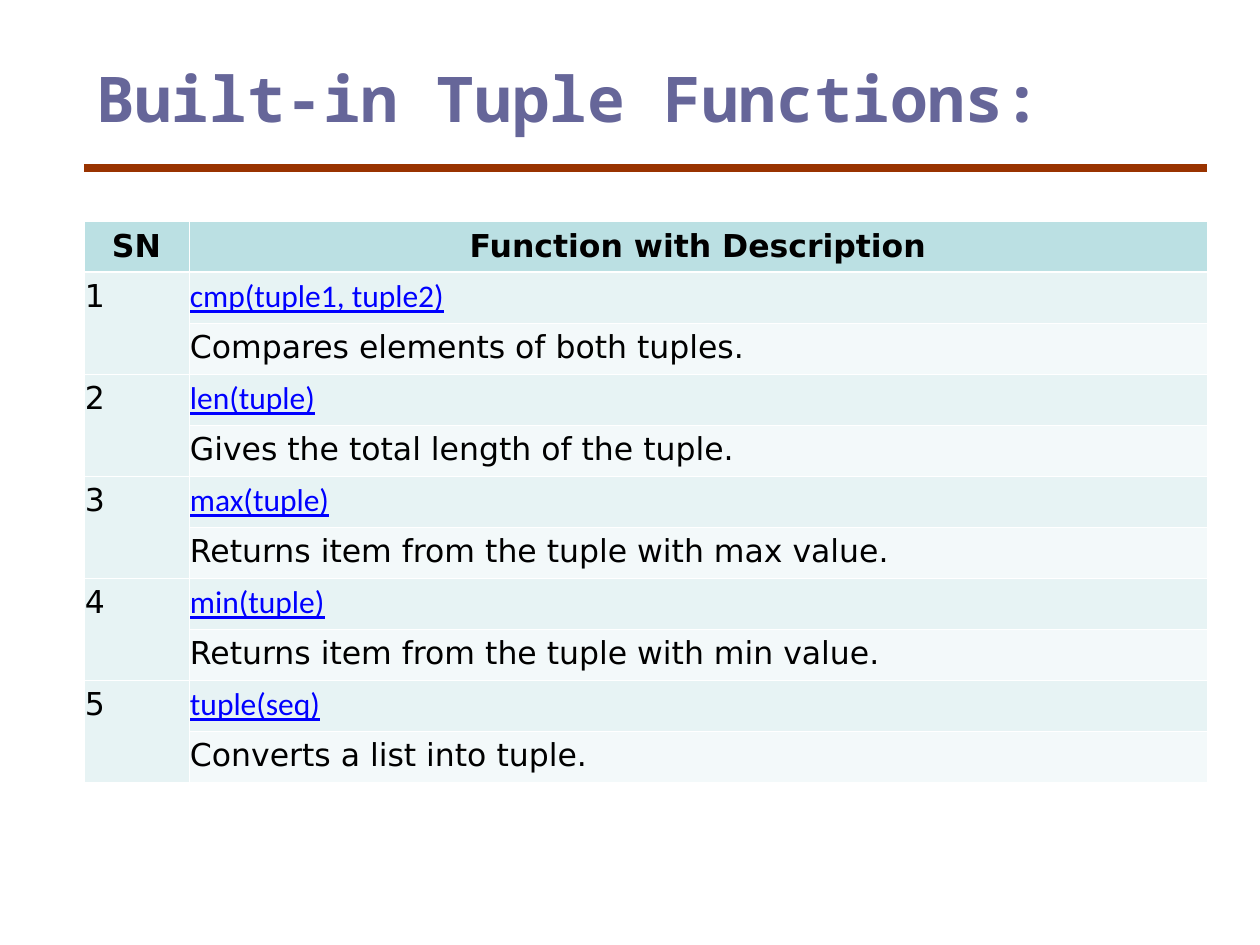
from lxml.etree import SubElement
from pptx import Presentation
from pptx.dml.color import RGBColor
from pptx.enum.shapes import MSO_CONNECTOR
from pptx.enum.text import MSO_ANCHOR as Anchor, PP_ALIGN as Align
from pptx.oxml.ns import qn
from pptx.util import Emu, Pt

PX = 914400 / 126
COLORS = {
    "title": "666699", "rule": "993300", "text": "000000", "link": "0000FF",
    "border": "FFFFFF", "header": "BBE0E3", "name_row": "E7F3F4",
    "description_row": "F3F9FA",
}
FUNCTIONS = [
    ("cmp(tuple1, tuple2)", "Compares elements of both tuples."),
    ("len(tuple)", "Gives the total length of the tuple."),
    ("max(tuple)", "Returns item from the tuple with max value."),
    ("min(tuple)", "Returns item from the tuple with min value."),
    ("tuple(seq)", "Converts a list into tuple."),
]
LEFT, WIDTH = 84, 1123
NUMBER_WIDTH, ROW_HEIGHT = 105, 51


def px(length):
    return Emu(round(length * PX))


def color(name):
    return RGBColor.from_string(COLORS[name])


def write_text(frame, text, font="DejaVu Sans", size=18, fill="text",
               bold=False, underline=False, align=Align.LEFT):
    paragraph = frame.paragraphs[0]
    paragraph.alignment = align
    run = paragraph.add_run()
    run.text = text
    run.font.name = font
    run.font.size = Pt(size)
    run.font.bold = bold
    run.font.underline = underline
    run.font.color.rgb = color(fill)


def add_title(slide, text):
    box = slide.shapes.add_textbox(px(LEFT), px(53), px(WIDTH), px(157))
    box.text_frame.word_wrap = True
    box.text_frame.vertical_anchor = Anchor.TOP
    write_text(box.text_frame, text, font="Noto Sans Mono", size=36,
               fill="title", bold=True)


def add_rule(slide, top):
    rule = slide.shapes.add_connector(
        MSO_CONNECTOR.STRAIGHT, px(LEFT), px(top), px(LEFT + WIDTH), px(top))
    rule.line.color.rgb = color("rule")
    rule.line.width = Pt(4.5)
    SubElement(rule._element.spPr, qn("a:effectLst"))


def add_borders(cell, **widths):
    """Draw the four sides; a side given by its letter gets its own width."""
    properties = cell._tc.get_or_add_tcPr()
    for side in "LRTB":
        width = Pt(widths.get(side, 0.45))
        line = SubElement(properties, qn(f"a:ln{side}"), w=str(width))
        fill = SubElement(line, qn("a:solidFill"))
        SubElement(fill, qn("a:srgbClr"), val=COLORS["border"])


def fill_cell(cell, text, background, anchor=Anchor.TOP, borders=None, **style):
    cell.margin_left = cell.margin_right = px(1)
    cell.margin_top = cell.margin_bottom = px(6)
    cell.vertical_anchor = anchor
    add_borders(cell, **(borders or {}))
    cell.fill.solid()
    cell.fill.fore_color.rgb = color(background)
    write_text(cell.text_frame, text, **style)


def add_function_table(slide, top):
    row_count = 1 + 2 * len(FUNCTIONS)
    table = slide.shapes.add_table(
        row_count, 2, px(LEFT), px(top), px(WIDTH),
        px(row_count * ROW_HEIGHT)).table
    table.columns[0].width = px(NUMBER_WIDTH)
    table.columns[1].width = px(WIDTH - NUMBER_WIDTH)
    for row in table.rows:
        row.height = px(ROW_HEIGHT)

    for column, heading in enumerate(("SN", "Function with Description")):
        fill_cell(table.cell(0, column), heading, "header", Anchor.MIDDLE,
                  {"B": 1.47}, bold=True, align=Align.CENTER)

    for number, (name, description) in enumerate(FUNCTIONS, start=1):
        row = 2 * number - 1
        borders = {"T": 1.47} if number == 1 else None
        number_cell = table.cell(row, 0)
        number_cell.merge(table.cell(row + 1, 0))
        fill_cell(number_cell, str(number), "name_row", borders=borders)
        fill_cell(table.cell(row, 1), name, "name_row", borders=borders,
                  font="Calibri", fill="link", underline=True)
        fill_cell(table.cell(row + 1, 1), description, "description_row")


def main():
    presentation = Presentation()
    presentation.slide_width = px(1260)
    presentation.slide_height = px(945)
    slide = presentation.slides.add_slide(presentation.slide_layouts[6])
    add_rule(slide, 168)
    add_title(slide, "Built-in Tuple Functions:")
    add_function_table(slide, 221)
    presentation.save("out.pptx")


if __name__ == "__main__":
    main()
